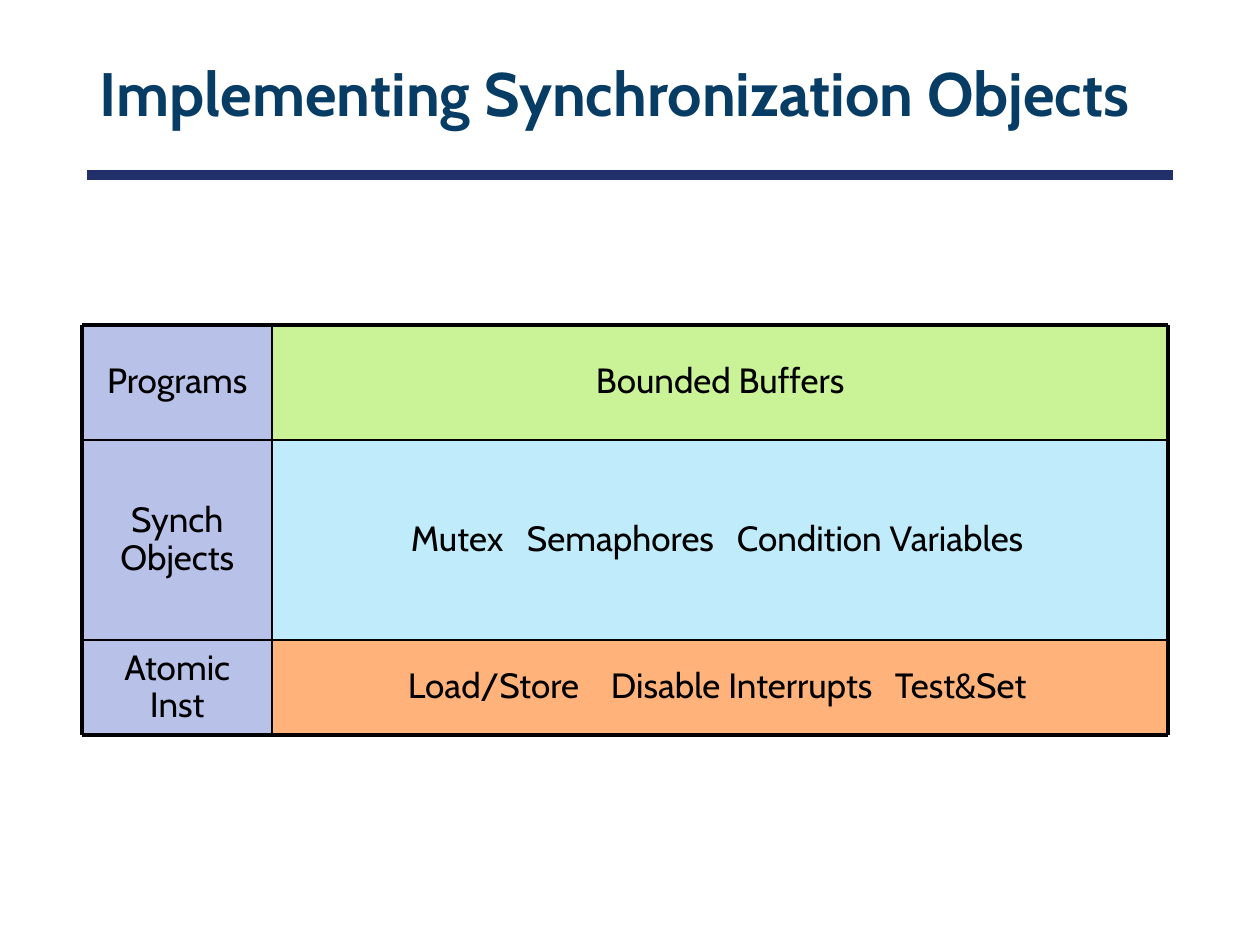
from dataclasses import dataclass
from itertools import pairwise

from lxml import etree
from pptx import Presentation
from pptx.dml.color import RGBColor
from pptx.enum.shapes import MSO_CONNECTOR, MSO_SHAPE
from pptx.enum.text import MSO_ANCHOR, PP_ALIGN
from pptx.oxml.ns import qn
from pptx.shapes.base import BaseShape
from pptx.slide import Slide
from pptx.util import Pt

EMU_PER_PX = 914400 / 126
LEFT, CENTER = PP_ALIGN.LEFT, PP_ALIGN.CENTER
MIDDLE = MSO_ANCHOR.MIDDLE
RECTANGLE = MSO_SHAPE.RECTANGLE
STRAIGHT = MSO_CONNECTOR.STRAIGHT


@dataclass(frozen=True)
class Theme:
    font: str = "Cabin"
    title_size: float = 35
    body_size: float = 20
    line_spacing: float = 0.9
    title: str = "073C65"
    title_rule: str = "21306A"
    ink: str = "000000"
    label_fill: str = "B8C2E9"
    rule_width: float = 6
    border_width: float = 2.25
    divider_width: float = 1


@dataclass(frozen=True)
class Layer:
    label: str
    items: tuple[str, ...]
    fill: str
    text_inset: int = 13
    tab_stops: tuple[int, ...] = ()


@dataclass(frozen=True)
class Rule:
    start: tuple[int, int]
    end: tuple[int, int]
    color: str
    width: float


THEME = Theme()
COLUMN_EDGES = (82, 272, 1168)
ROW_EDGES = (325, 440, 640, 735)
LAYERS = (
    Layer("Programs", ("Bounded Buffers",), "CAF297"),
    Layer("Synch Objects", ("Mutex", "Semaphores", "Condition Variables"),
          "BFEBFA", 139, (116, 326)),
    Layer("Atomic Inst", ("Load/Store", "Disable Interrupts", "Test&Set"),
          "FFB37A", 136, (203, 487)),
)


def px(length: int) -> int:
    return round(length * EMU_PER_PX)


def write_text(box: BaseShape, text: str, size: float, color: str,
               align: PP_ALIGN, bold: bool = False, inset: int = 13,
               tab_stops: tuple[int, ...] = ()) -> None:
    """Fill a box with one paragraph; tab stops are measured from the inset."""
    frame = box.text_frame
    frame.word_wrap = True
    frame.vertical_anchor = MIDDLE
    frame.margin_left = px(inset)
    frame.text = text
    para = frame.paragraphs[0]
    para.alignment = align
    para.line_spacing = THEME.line_spacing
    if tab_stops:
        tab_list = etree.SubElement(para._p.get_or_add_pPr(), qn("a:tabLst"))
        for stop in tab_stops:
            etree.SubElement(tab_list, qn("a:tab"), pos=str(px(stop)), algn="l")
    for span in para.runs:
        span.font.name = THEME.font
        span.font.size = Pt(size)
        span.font.bold = bold
        span.font.color.rgb = RGBColor.from_string(color)


def draw_cell(page: Slide, left: int, top: int, right: int, bottom: int,
              fill: str) -> BaseShape:
    cell = page.shapes.add_shape(RECTANGLE, px(left), px(top),
                                 px(right - left), px(bottom - top))
    cell.shadow.inherit = False
    cell.fill.solid()
    cell.fill.fore_color.rgb = RGBColor.from_string(fill)
    cell.line.fill.background()
    return cell


def draw_layer(page: Slide, layer: Layer, top: int, bottom: int) -> None:
    left, split, right = COLUMN_EDGES
    content = draw_cell(page, left=split, top=top, right=right, bottom=bottom,
                        fill=layer.fill)
    write_text(content, "\t".join(layer.items), THEME.body_size, THEME.ink,
               LEFT if layer.tab_stops else CENTER,
               inset=layer.text_inset, tab_stops=layer.tab_stops)
    label = draw_cell(page, left, top, split, bottom, THEME.label_fill)
    write_text(label, layer.label, THEME.body_size, THEME.ink, CENTER)


def draw_rule(page: Slide, rule: Rule) -> None:
    line = page.shapes.add_connector(STRAIGHT, *map(px, rule.start + rule.end))
    line.line.color.rgb = RGBColor.from_string(rule.color)
    line.line.width = Pt(rule.width)
    etree.SubElement(line._element.spPr, qn("a:effectLst"))


def grid_rules() -> list[Rule]:
    """Thick lines around the stack, thin lines between its cells."""
    left, right = COLUMN_EDGES[0], COLUMN_EDGES[-1]
    top, bottom = ROW_EDGES[0], ROW_EDGES[-1]

    def width(edge: int, outer: tuple[int, int]) -> float:
        return THEME.border_width if edge in outer else THEME.divider_width

    rows = [Rule((left, y), (right, y), THEME.ink, width(y, (top, bottom)))
            for y in ROW_EDGES]
    columns = [Rule((x, top), (x, bottom), THEME.ink, width(x, (left, right)))
               for x in COLUMN_EDGES]
    return rows + columns


def main() -> None:
    deck = Presentation()
    deck.slide_width, deck.slide_height = px(1260), px(945)
    page = deck.slides.add_slide(deck.slide_layouts[6])

    draw_rule(page, Rule((87, 175), (1173, 175), THEME.title_rule,
                         THEME.rule_width))
    for layer, (top, bottom) in zip(LAYERS, pairwise(ROW_EDGES)):
        draw_layer(page, layer, top, bottom)
    for rule in grid_rules():
        draw_rule(page, rule)

    title = page.shapes.add_textbox(px(87), px(29), px(1086), px(136))
    write_text(title, "Implementing Synchronization Objects",
               THEME.title_size, THEME.title, LEFT, bold=True)
    deck.save("out.pptx")


if __name__ == "__main__":
    main()
